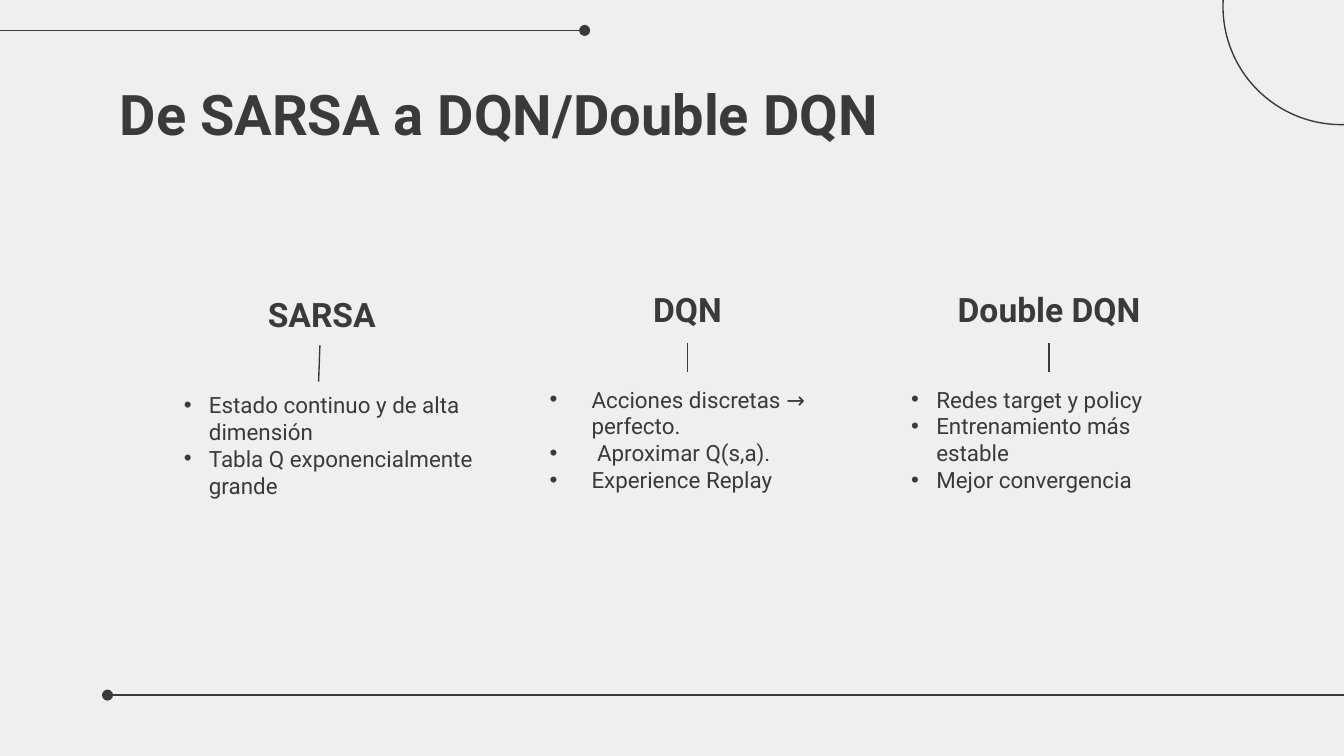
from lxml import etree
from pptx import Presentation
from pptx.dml.color import RGBColor
from pptx.enum import shapes, text
from pptx.oxml import ns
from pptx.util import Pt

INK = "3B3A3A"
PAPER = "EFEFEF"
FONT = "Roboto"


def paint(color, hue):
    color.rgb = RGBColor.from_string(hue)


def add_xml(node, tag, **attrs):
    return etree.SubElement(node, ns.qn(tag), **attrs)


def set_frame(shape, anchor):
    frame = shape.text_frame
    frame.word_wrap = True
    frame.auto_size = text.MSO_AUTO_SIZE.NONE
    frame.vertical_anchor = anchor
    frame.margin_left = frame.margin_right = Pt(7.2)
    frame.margin_top = frame.margin_bottom = Pt(7.2)
    return frame


def style(frame, size, bold, align):
    for para in frame.paragraphs:
        para.alignment = align
        for run in para.runs:
            run.font.name = FONT
            run.font.size = Pt(size)
            run.font.bold = bold
            paint(run.font.color, INK)


def add_text(slide, box, words, size, bold=False,
             anchor=text.MSO_ANCHOR.TOP, align=text.PP_ALIGN.LEFT):
    shape = slide.shapes.add_textbox(*map(Pt, box))
    frame = set_frame(shape, anchor)
    frame.text = words
    style(frame, size, bold, align)
    return frame


def add_bullets(frame, indent):
    for para in frame.paragraphs:
        props = para._p.get_or_add_pPr()
        props.set("marL", str(Pt(indent)))
        props.set("indent", str(-Pt(indent)))
        add_xml(add_xml(props, "a:buClr"), "a:srgbClr", val=INK)
        add_xml(props, "a:buFont", typeface="Arial")
        add_xml(props, "a:buChar", char="•")


def add_line(slide, start, end, dot=None):
    line = slide.shapes.add_connector(
        shapes.MSO_CONNECTOR.STRAIGHT, *map(Pt, start + end))
    line.line.width = Pt(0.75)
    paint(line.line.color, INK)
    if dot:
        add_xml(line.line._get_or_add_ln(), dot, type="oval")
    add_xml(line._element.spPr, "a:effectLst")


def add_decor(slide, width, height):
    # Corner circle
    size = 126.6
    ring = slide.shapes.add_shape(
        shapes.MSO_SHAPE.OVAL, *map(Pt, (width - 64.8, -59.8, size, size)))
    ring.shadow.inherit = False
    ring.fill.background()
    ring.line.width = Pt(0.75)
    paint(ring.line.color, INK)

    # Dotted-end rules
    low = height - 32.6
    add_line(slide, (57.6, low), (width, low), "a:headEnd")
    add_line(slide, (0, 16.3), (313.2, 16.3), "a:tailEnd")


def add_title(slide, box, words):
    title = slide.shapes.title
    title.left, title.top, title.width, title.height = map(Pt, box)
    frame = set_frame(title, text.MSO_ANCHOR.TOP)
    frame.text = words
    style(frame, 30, True, text.PP_ALIGN.LEFT)


def add_column(slide, box, head, items, indent, stem):
    left, top, width, height = box
    head_w, head_h, drop = 162, 31, 46.8

    # Heading
    add_text(slide, (left, top, head_w, head_h), head, 18, True,
             text.MSO_ANCHOR.BOTTOM, text.PP_ALIGN.CENTER)

    # Stem, given as top and foot offsets from the heading's middle
    mid = left + head_w / 2
    (x1, y1), (x2, y2) = stem
    add_line(slide, (mid + x1, top + y1), (mid + x2, top + y2))

    # Bullets
    body = add_text(slide, (left, top + drop, width, height - drop),
                    "\n".join(items), 12)
    add_bullets(body, indent)


def main():
    deck = Presentation()
    width, height = 720, 405
    deck.slide_width, deck.slide_height = Pt(width), Pt(height)
    slide = deck.slides.add_slide(deck.slide_layouts[5])
    slide.background.fill.solid()
    paint(slide.background.fill.fore_color, PAPER)

    add_decor(slide, width, height)
    add_title(slide, (56.9, 35.3, 607, 45.4), "De SARSA\u00a0a DQN/Double DQN")

    upright = ((0, 31), (0, 46.8))
    slant = ((-1, 29.5), (-1.7, 49))
    columns = [
        ((91.4, 155.5, 177.8, 105), "SARSA",
         ["Estado continuo y de alta dimensión",
          "Tabla Q exponencialmente grande"], 13.5, slant),
        ((287.3, 152.6, 162, 105), "DQN",
         ["Acciones discretas → perfecto.", " Aproximar Q(s,a).",
          "Experience Replay"], 22.5, upright),
        ((481, 152.6, 162, 105), "Double DQN",
         ["Redes target y policy", "Entrenamiento más estable",
          "Mejor convergencia"], 13.5, upright),
    ]
    for column in columns:
        add_column(slide, *column)

    deck.save("out.pptx")


if __name__ == "__main__":
    main()
